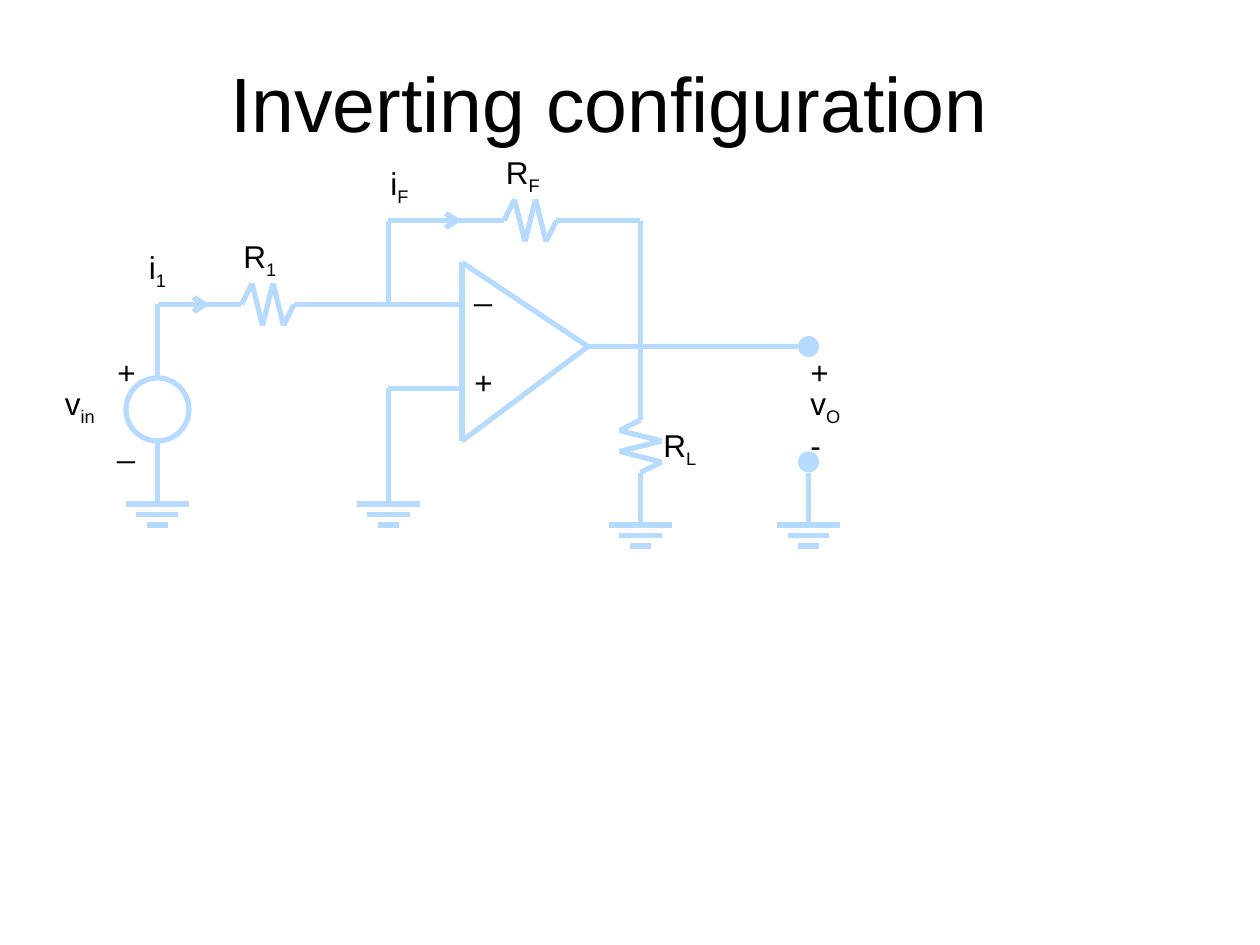
from lxml import etree
from pptx import Presentation
from pptx.dml.color import RGBColor
from pptx.enum.shapes import MSO_CONNECTOR, MSO_SHAPE
from pptx.enum.text import MSO_ANCHOR, MSO_AUTO_SIZE, PP_ALIGN
from pptx.oxml.ns import qn
from pptx.util import Inches, Pt

STRAIGHT = MSO_CONNECTOR.STRAIGHT
OVAL = MSO_SHAPE.OVAL
BOTTOM = MSO_ANCHOR.BOTTOM
CENTER = PP_ALIGN.CENTER
GROW = MSO_AUTO_SIZE.SHAPE_TO_FIT_TEXT
NO_FIT = MSO_AUTO_SIZE.NONE

FONT = "Arial"
INK = "000000"
WIRE = "B7DBFF"
WIRE_WIDTH = Pt(3)

# Circuit coordinates are grid steps, twelve to the inch
STEPS_PER_INCH = 12

# Wires as chains of (x, y) corners
WIRES = [
    [(44, 25), (44, 42), (56, 33), (44, 25)],   # amplifier
    [(44, 37), (37, 37), (37, 48)],             # non-inverting input
    [(44, 29), (28, 29)],                       # inverting input
    [(23, 29), (15, 29), (15, 36)],             # source to R1
    [(15, 42), (15, 48)],                       # source to ground
    [(37, 29), (37, 21), (48, 21)],             # feedback, left
    [(53, 21), (61, 21), (61, 40)],             # feedback, right
    [(61, 45), (61, 50)],                       # load to ground
    [(56, 33), (76, 33)],                       # output
    [(77, 45), (77, 50)],                       # output ground
]
CURRENT_ARROWS = [[(15, 29), (20, 29)], [(37, 21), (44, 21)]]
RESISTORS = [(23, 29, False), (48, 21, False), (61, 40, True)]
GROUNDS = [(15, 48), (37, 48), (61, 50), (77, 50)]
TERMINALS = [(77, 33), (77, 44)]

# Left, top, text, subscript
LABELS = [
    (44, 34, "+", ""), (44, 25, "_", ""),
    (76, 33, "+", ""), (76, 36, "v", "O"), (76, 40, "-", ""),
    (10, 33, "+", ""), (5, 36, "v", "in"), (10, 40, "_", ""),
    (62, 40, "R", "L"), (22, 22, "R", "1"), (47, 14, "R", "F"),
    (13, 23, "i", "1"), (36, 15, "i", "F"),
]


def grid(steps):
    return Inches(steps / STEPS_PER_INCH)


def color(value):
    return RGBColor.from_string(value)


def format_run(run, size):
    run.font.name = FONT
    run.font.size = Pt(size)
    run.font.color.rgb = color(INK)


def add_title(slide, text):
    title = slide.shapes.title
    title.left, title.top = Inches(1.42), Inches(0.25)
    title.width, title.height = Inches(6.83), Inches(0.92)
    frame = title.text_frame
    frame.text = text
    frame.margin_left = frame.margin_right = frame.margin_bottom = 0
    frame.margin_top = Inches(0.05)
    frame.vertical_anchor = BOTTOM
    frame.auto_size = NO_FIT
    paragraph = frame.paragraphs[0]
    paragraph.alignment = CENTER
    format_run(paragraph.runs[0], 44)


def add_wire(slide, points, arrow=False):
    """Join the points in turn with straight lines."""
    for start, end in zip(points, points[1:]):
        connector = slide.shapes.add_connector(
            STRAIGHT, *(grid(value) for value in start + end))
        connector.line.color.rgb = color(WIRE)
        connector.line.width = WIRE_WIDTH
        properties = connector._element.spPr
        etree.SubElement(properties, qn("a:effectLst"))
        if arrow:
            line = properties.find(qn("a:ln"))
            etree.SubElement(line, qn("a:tailEnd"), type="arrow")


def add_resistor(slide, x, y, vertical):
    swings = [0, -2, 2, -2, 2, 0]
    if vertical:
        points = [(x + swing, y + step) for step, swing in enumerate(swings)]
    else:
        points = [(x + step, y + swing) for step, swing in enumerate(swings)]
    add_wire(slide, points)


def add_ground(slide, x, y):
    for row, half in enumerate((3, 2, 1)):
        add_wire(slide, [(x - half, y + row), (x + half, y + row)])


def add_circle(slide, x, y, radius, filled):
    circle = slide.shapes.add_shape(
        OVAL, grid(x - radius), grid(y - radius),
        grid(2 * radius), grid(2 * radius))
    circle.shadow.inherit = False
    if filled:
        circle.fill.solid()
        circle.fill.fore_color.rgb = color(WIRE)
        circle.line.fill.background()
    else:
        circle.fill.background()
        circle.line.color.rgb = color(WIRE)
        circle.line.width = WIRE_WIDTH


def add_label(slide, x, y, text, subscript):
    width, height = (0.67, 0.44) if subscript else (0.42, 0.4)
    box = slide.shapes.add_textbox(
        grid(x), grid(y), Inches(width), Inches(height))
    frame = box.text_frame
    frame.text = text
    frame.word_wrap = True
    frame.auto_size = GROW
    paragraph = frame.paragraphs[0]
    if subscript:
        run = paragraph.add_run()
        run.text = subscript
        run.font._element.set("baseline", "-25000")
    for run in paragraph.runs:
        format_run(run, 18)


def main():
    presentation = Presentation()
    presentation.slide_width = Inches(10)
    presentation.slide_height = Inches(7.5)
    slide = presentation.slides.add_slide(presentation.slide_layouts[5])
    add_title(slide, "Inverting configuration")

    # Circuit
    for points in WIRES:
        add_wire(slide, points)
    for points in CURRENT_ARROWS:
        add_wire(slide, points, arrow=True)
    for resistor in RESISTORS:
        add_resistor(slide, *resistor)
    for ground in GROUNDS:
        add_ground(slide, *ground)
    for x, y in TERMINALS:
        add_circle(slide, x, y, 1, filled=True)
    add_circle(slide, 15, 39, 3, filled=False)  # voltage source

    # Component names and polarity signs
    for label in LABELS:
        add_label(slide, *label)

    presentation.save("out.pptx")


if __name__ == "__main__":
    main()
